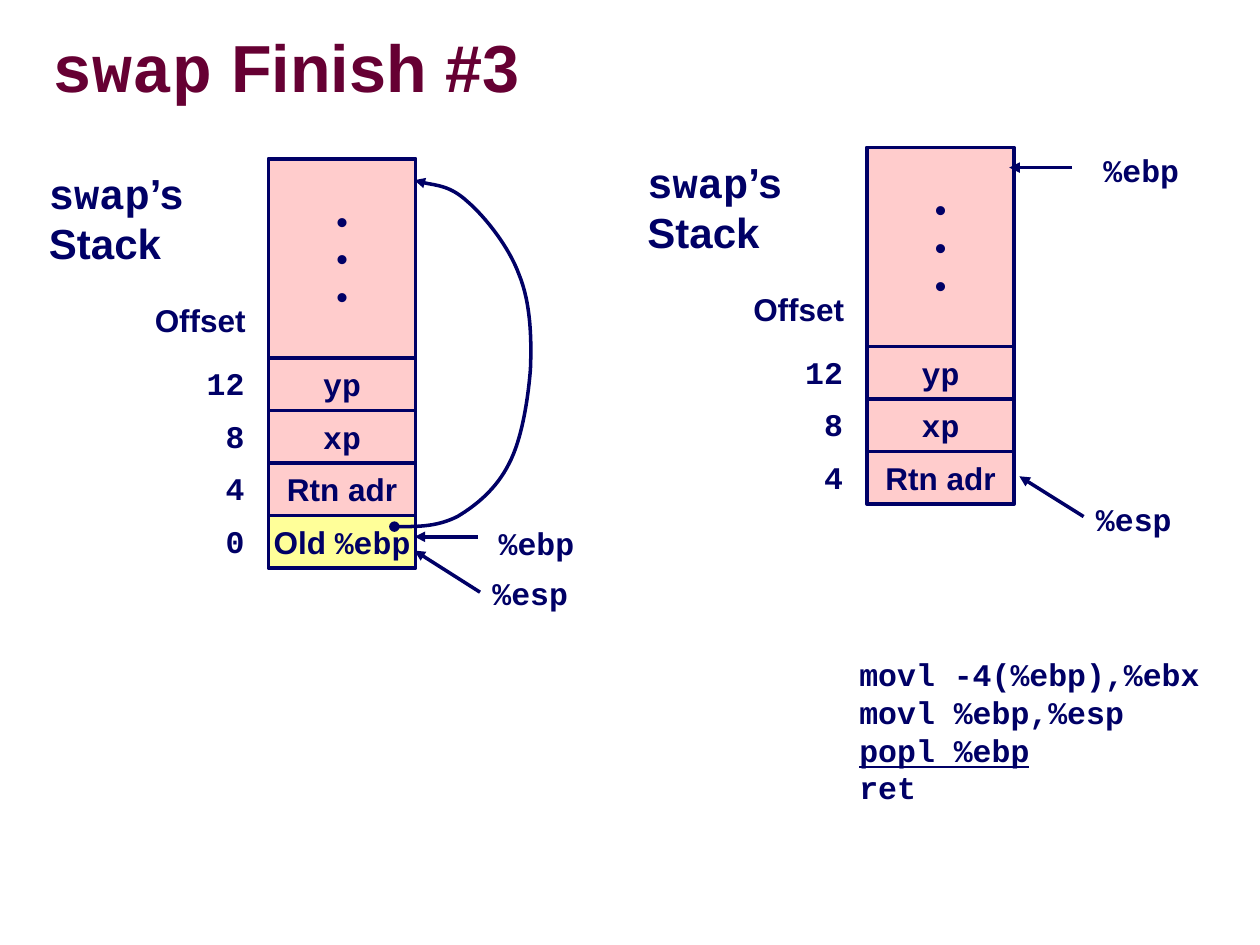
from lxml.etree import SubElement
from pptx import Presentation
from pptx.dml.color import RGBColor
from pptx.enum.shapes import MSO_CONNECTOR, MSO_SHAPE
from pptx.enum.text import MSO_ANCHOR, PP_ALIGN
from pptx.oxml.ns import qn
from pptx.util import Inches, Pt

COLORS = {"title": "660033", "ink": "000066", "cell": "FFCCCC",
          "saved": "FFFF99", "shadow": "969696"}
SANS, MONO = "Arial", "Courier New"
CELL_W, CELL_H, TOP_H = 1.17, 0.417, 1.58
LABEL_H = 0.4
DOTS = [[("•", SANS)]] * 3
ARGS = [("12", [("yp", MONO)], "cell"),
        ("8", [("xp", MONO)], "cell"),
        ("4", [("Rtn adr", SANS)], "cell")]
OLD_EBP = ("0", [("Old ", SANS), ("%ebp", MONO)], "saved")
CODE = ["movl -4(%ebp),%ebx", "movl %ebp,%esp", "popl %ebp", "ret"]
CURRENT_LINE = 2
LINK_START = (1.0, 2.92)
LINK_CURVES = [
    [(1.17, 2.92), (1.34, 2.92), (1.5, 2.84)],
    [(1.65, 2.75), (1.81, 2.62), (1.91, 2.42)],
    [(2.01, 2.23), (2.06, 1.92), (2.08, 1.67)],
    [(2.09, 1.42), (2.08, 1.14), (1.99, 0.92)],
    [(1.91, 0.7), (1.72, 0.46), (1.58, 0.34)],
    [(1.44, 0.21), (1.23, 0.2), (1.16, 0.17)],
]


def rgb(name):
    return RGBColor.from_string(COLORS[name])


def write(tf, paragraphs, size=18, color="ink", align=PP_ALIGN.LEFT):
    for i, runs in enumerate(paragraphs):
        p = tf.paragraphs[0] if i == 0 else tf.add_paragraph()
        p.alignment = align
        for text, font in runs:
            r = p.add_run()
            r.text = text
            style = {"name": font, "size": Pt(size), "bold": True}
            for key, value in style.items():
                setattr(r.font, key, value)
            r.font.color.rgb = rgb(color)


def add_label(slide, box, paragraphs, wrap=False, margins=None, **style):
    s = slide.shapes.add_textbox(*map(Inches, box))
    tf = s.text_frame
    tf.word_wrap = wrap
    for side, value in (margins or {}).items():
        setattr(tf, "margin_" + side, Inches(value))
    write(tf, paragraphs, **style)
    return tf


def add_cell(slide, box, paragraphs, fill):
    s = slide.shapes.add_shape(MSO_SHAPE.RECTANGLE, *map(Inches, box))
    s.shadow.inherit = False
    s.fill.solid()
    s.fill.fore_color.rgb = rgb(fill)
    s.line.color.rgb = rgb("ink")
    s.line.width = Pt(2)
    s.text_frame.word_wrap = False
    s.text_frame.vertical_anchor = MSO_ANCHOR.MIDDLE
    write(s.text_frame, paragraphs, align=PP_ALIGN.CENTER)


def style_arrow(s, head=None):
    s.line.color.rgb = rgb("ink")
    s.line.width = Pt(2)
    ln = s.line._get_or_add_ln()
    if head:
        SubElement(ln, qn("a:headEnd"), type=head)
    SubElement(ln, qn("a:tailEnd"), type="triangle")


def add_pointer(slide, x, y, register, start, end, label):
    ends = [Inches(v) for v in (x + start[0], y + start[1], x + end[0], y + end[1])]
    s = slide.shapes.add_connector(MSO_CONNECTOR.STRAIGHT, *ends)
    style_arrow(s)
    SubElement(s._element.spPr, qn("a:effectLst"))
    add_label(slide, (x + label[0], y + label[1], 0.8, LABEL_H), [[(register, MONO)]])


def add_frame_link(slide, x, y):
    points = [(Inches(x + px), Inches(y + py))
              for curve in LINK_CURVES for px, py in curve]
    start = Inches(x + LINK_START[0]), Inches(y + LINK_START[1])
    builder = slide.shapes.build_freeform(*start)
    builder.add_line_segments(points, close=False)
    s = builder.convert_to_shape()
    s.shadow.inherit = False
    s.fill.background()
    style_arrow(s, head="oval")
    outline = next(s._element.iter(qn("a:path")))
    segments = outline.findall(qn("a:lnTo"))
    for i in range(0, len(segments), 3):
        curve = SubElement(outline, qn("a:cubicBezTo"))
        for segment in segments[i:i + 3]:
            curve.append(segment[0])
            outline.remove(segment)


def add_stack(slide, x, y, rows, pointers):
    for i, (offset, runs, fill) in enumerate(rows):
        top = y + TOP_H + i * CELL_H
        add_cell(slide, (x, top, CELL_W, CELL_H), [runs], fill)
        add_label(slide, (x - 0.59, top, 0.65, LABEL_H), [[(offset, MONO)]],
                  margins={"right": 0.25}, align=PP_ALIGN.RIGHT)
    add_label(slide, (x - 1, y + 1.08, 0.92, LABEL_H), [[("Offset", SANS)]])
    add_label(slide, (x - 1.84, y + 0.02, 1.28, 0.9),
              [[("swap", MONO), ("’s", SANS)], [("Stack", SANS)]], size=24)
    add_cell(slide, (x, y, CELL_W, TOP_H), DOTS, "cell")
    for pointer in pointers:
        add_pointer(slide, x, y, *pointer)


def add_title(slide, box):
    s = slide.shapes.title
    s.left, s.top, s.width, s.height = map(Inches, box)
    tf = s.text_frame
    tf.vertical_anchor = MSO_ANCHOR.MIDDLE
    for side in ("left", "top", "right", "bottom"):
        setattr(tf, "margin_" + side, 0)
    write(tf, [[("swap", MONO), (" Finish #3", SANS)]], size=38, color="title")
    p = tf.paragraphs[0]
    p.line_spacing = 0.87
    for r in p.runs:
        fill = r._r.rPr.find(qn("a:solidFill"))
        effects = SubElement(r._r.rPr, qn("a:effectLst"))
        fill.addnext(effects)
        shadow = SubElement(effects, qn("a:outerShdw"), dist="38100", dir="2700000")
        SubElement(shadow, qn("a:srgbClr"), val=COLORS["shadow"])


def add_code(slide, box):
    tf = add_label(slide, box, [[(line, MONO)] for line in CODE],
                   wrap=True, margins={"left": 0.6})
    tf.paragraphs[CURRENT_LINE].runs[0].font.underline = True


def main():
    prs = Presentation()
    prs.slide_width, prs.slide_height = Inches(10), Inches(7.5)
    slide = prs.slides.add_slide(prs.slide_layouts[5])
    add_title(slide, (0.42, 0.25, 6.41, 0.63))
    add_code(slide, (6.22, 5.15, 3.42, 1.3))
    add_stack(slide, 6.88, 1.17, ARGS, [
        ("%ebp", (1.63, 0.16), (1.13, 0.16), (1.78, -0.02)),
        ("%esp", (1.72, 2.93), (1.21, 2.61), (1.72, 2.75)),
    ])
    add_stack(slide, 2.13, 1.26, ARGS + [OLD_EBP], [
        ("%ebp", (1.66, 3), (1.16, 3), (1.73, 2.85)),
        ("%esp", (1.68, 3.44), (1.16, 3.11), (1.68, 3.25)),
    ])
    add_frame_link(slide, 2.13, 1.26)
    prs.save("out.pptx")


if __name__ == "__main__":
    main()
